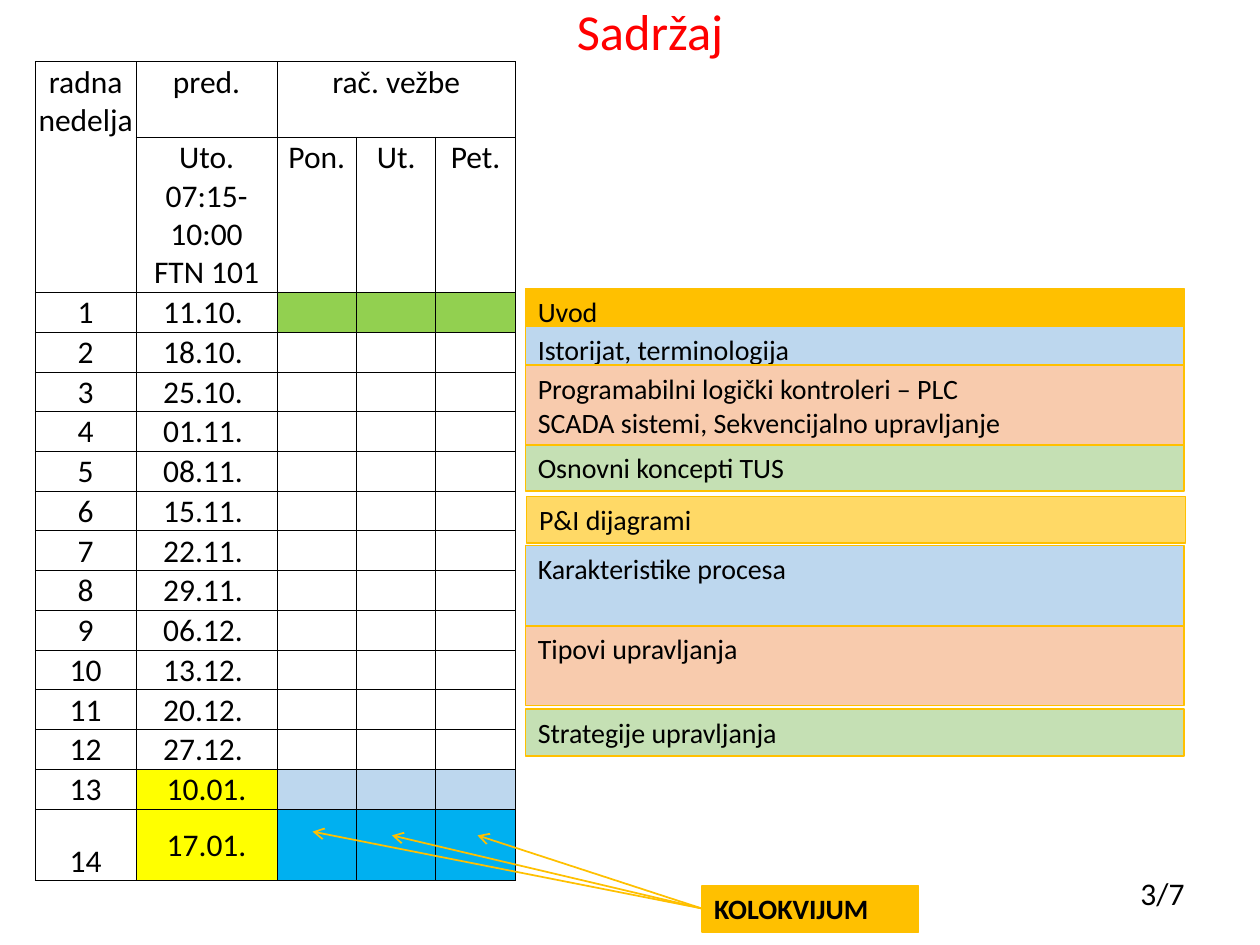
from lxml import etree
from pptx import Presentation
from pptx.dml.color import RGBColor
from pptx.enum.shapes import MSO_CONNECTOR, MSO_SHAPE
from pptx.enum.text import MSO_ANCHOR, PP_ALIGN
from pptx.oxml.ns import qn
from pptx.util import Inches, Pt

RECTANGLE = MSO_SHAPE.RECTANGLE
STRAIGHT = MSO_CONNECTOR.STRAIGHT
TOP, MIDDLE, BOTTOM = MSO_ANCHOR.TOP, MSO_ANCHOR.MIDDLE, MSO_ANCHOR.BOTTOM
LEFT, CENTER, RIGHT = PP_ALIGN.LEFT, PP_ALIGN.CENTER, PP_ALIGN.RIGHT

BLACK, RED, YELLOW, GOLD = "000000", "FF0000", "FFFF00", "FFC000"
LIGHT_BLUE, PEACH, LIGHT_GREEN, SAND = "BDD7EE", "F8CBAD", "C5E0B4", "FFD966"
WEEK_GREEN, WEEK_BLUE = "92D050", "00B0F0"

COLUMN_WIDTHS = [0.8, 1.12, 0.63, 0.63, 0.63]
ROW_HEIGHTS = [0.6, 1.21] + [0.31] * 13 + [0.57]
LECTURE_DATES = [
    "11.10. ", "18.10. ", "25.10. ", "01.11. ", "08.11. ", "15.11. ", "22.11. ",
    "29.11. ", "06.12. ", "13.12. ", "20.12. ", "27.12. ", "10.01.", "17.01.",
]
EXERCISE_FILLS = {1: WEEK_GREEN, 13: LIGHT_BLUE, 14: WEEK_BLUE}
EXAM_WEEKS = (13, 14)

TOPICS = [
    (4.17, 2.29, 0.37, GOLD, ["Uvod"]),
    (4.17, 2.59, 0.37, LIGHT_BLUE, ["Istorijat, terminologija"]),
    (4.17, 5.63, 0.37, LIGHT_GREEN, ["Strategije upravljanja"]),
    (4.17, 4.96, 0.64, PEACH, ["Tipovi upravljanja"]),
    (4.17, 2.9, 0.64, PEACH, ["Programabilni logički kontroleri – PLC",
                              "SCADA sistemi, Sekvencijalno upravljanje"]),
    (4.17, 3.53, 0.37, LIGHT_GREEN, ["Osnovni koncepti TUS"]),
    (4.18, 3.94, 0.37, SAND, ["P&I dijagrami"]),
    (4.17, 4.33, 0.64, LIGHT_BLUE, ["Karakteristike procesa"]),
]
ARROW_START = (5.57, 7.21)
ARROW_ENDS = [(3.11, 6.63), (3.79, 6.63), (2.48, 6.6)]


def color(value):
    """Return the colour for a hex string."""
    return RGBColor.from_string(value)


def inches(*lengths):
    """Convert several lengths to Inches."""
    return [Inches(length) for length in lengths]


def set_attributes(target, values):
    """Set every attribute named in a dict of format values."""
    for name, value in values.items():
        setattr(target, name, value)


def write_text(frame, lines, size, align=LEFT, hue=BLACK, bold=False, spacing=None):
    """Write one formatted paragraph for each line."""
    for index, line in enumerate(lines):
        paragraph = frame.add_paragraph() if index else frame.paragraphs[0]
        set_attributes(paragraph, {"alignment": align, "line_spacing": spacing})
        run = paragraph.add_run()
        run.text = line
        set_attributes(run.font, {"name": "Calibri", "size": Pt(size), "bold": bold})
        run.font.color.rgb = color(hue)


def add_label(slide, box, lines, size, anchor, **text_format):
    """Add a plain text box."""
    frame = slide.shapes.add_textbox(*inches(*box)).text_frame
    set_attributes(frame, {"word_wrap": True, "vertical_anchor": anchor})
    write_text(frame, lines, size, **text_format)


def add_bar(slide, box, fill, lines, bold=False):
    """Add a filled rectangle with a gold outline and text at its top."""
    shape = slide.shapes.add_shape(RECTANGLE, *inches(*box))
    shape.shadow.inherit = False
    shape.fill.solid()
    shape.fill.fore_color.rgb = color(fill)
    shape.line.color.rgb = color(GOLD)
    shape.line.width = Pt(1)
    set_attributes(shape.text_frame, {"word_wrap": True, "vertical_anchor": TOP})
    write_text(shape.text_frame, lines, 16, bold=bold)


def add_arrow(slide, start, end):
    """Add a gold line with an open arrowhead at its end."""
    arrow = slide.shapes.add_connector(STRAIGHT, *inches(*start, *end))
    arrow.line.color.rgb = color(GOLD)
    arrow.line.width = Pt(1)
    etree.SubElement(arrow.line._get_or_add_ln(), qn("a:tailEnd"), type="arrow")
    etree.SubElement(arrow._element.spPr, qn("a:effectLst"))


def format_cell(cell):
    """Give a table cell narrow margins, thin black borders and no fill."""
    margin = Inches(0.01)
    set_attributes(cell, {"margin_left": margin, "margin_right": margin,
                          "margin_top": margin, "margin_bottom": 0})
    properties = cell._tc.get_or_add_tcPr()
    for side in ("lnL", "lnR", "lnT", "lnB"):
        border = etree.SubElement(properties, qn(f"a:{side}"), w=str(Pt(0.5)))
        solid = etree.SubElement(border, qn("a:solidFill"))
        etree.SubElement(solid, qn("a:srgbClr"), val=BLACK)
    cell.fill.background()


def fill_cell(cell, fill):
    """Fill a table cell with one colour."""
    cell.fill.solid()
    cell.fill.fore_color.rgb = color(fill)


def write_cell(cell, lines, anchor=TOP):
    """Write centred text in a table cell."""
    cell.vertical_anchor = anchor
    write_text(cell.text_frame, lines, 18, align=CENTER)


def add_schedule(slide):
    """Add the table of working weeks."""
    box = inches(0.28, 0.49, sum(COLUMN_WIDTHS), sum(ROW_HEIGHTS))
    table = slide.shapes.add_table(len(ROW_HEIGHTS), len(COLUMN_WIDTHS), *box).table
    set_attributes(table, {"first_row": False, "horz_banding": False})
    for column, width in zip(table.columns, COLUMN_WIDTHS):
        column.width = Inches(width)
    for row, height in zip(table.rows, ROW_HEIGHTS):
        row.height = Inches(height)
    for cell in table.iter_cells():
        format_cell(cell)
    table.cell(0, 0).merge(table.cell(1, 0))
    table.cell(0, 2).merge(table.cell(0, 4))

    for column, heading in enumerate(["radna nedelja", "pred.", "rač. vežbe"]):
        write_cell(table.cell(0, column), [heading])
    days = [["Uto.", "07:15-10:00", "FTN 101"], ["Pon."], ["Ut."], ["Pet."]]
    for column, lines in enumerate(days, start=1):
        write_cell(table.cell(1, column), lines)

    for week, date in enumerate(LECTURE_DATES, start=1):
        number, lecture, *exercises = table.rows[week + 1].cells
        write_cell(number, [str(week)], BOTTOM)
        write_cell(lecture, [date], MIDDLE if week in EXAM_WEEKS else TOP)
        if week in EXAM_WEEKS:
            fill_cell(lecture, YELLOW)
        for cell in exercises:
            cell.text_frame.paragraphs[0].font.size = Pt(18)
            if week in EXERCISE_FILLS:
                fill_cell(cell, EXERCISE_FILLS[week])


def main():
    """Build the contents slide and save it."""
    presentation = Presentation()
    set_attributes(presentation, {"slide_width": Inches(10), "slide_height": Inches(7.5)})
    slide = presentation.slides.add_slide(presentation.slide_layouts[6])
    add_schedule(slide)
    add_label(slide, (0.91, 0.07, 8.5, 0.47), ["Sadržaj"], 28.8, BOTTOM,
              align=CENTER, hue=RED, spacing=0.9)
    for left, top, height, fill, lines in TOPICS:
        add_bar(slide, (left, top, 5.23, height), fill, lines)
    add_bar(slide, (5.57, 7.03, 1.72, 0.37), GOLD, ["KOLOKVIJUM"], bold=True)
    for end in ARROW_ENDS:
        add_arrow(slide, ARROW_START, end)
    add_label(slide, (7.17, 6.83, 2.33, 0.52), ["3/7"], 18, MIDDLE, align=RIGHT)
    presentation.save("out.pptx")


main()
